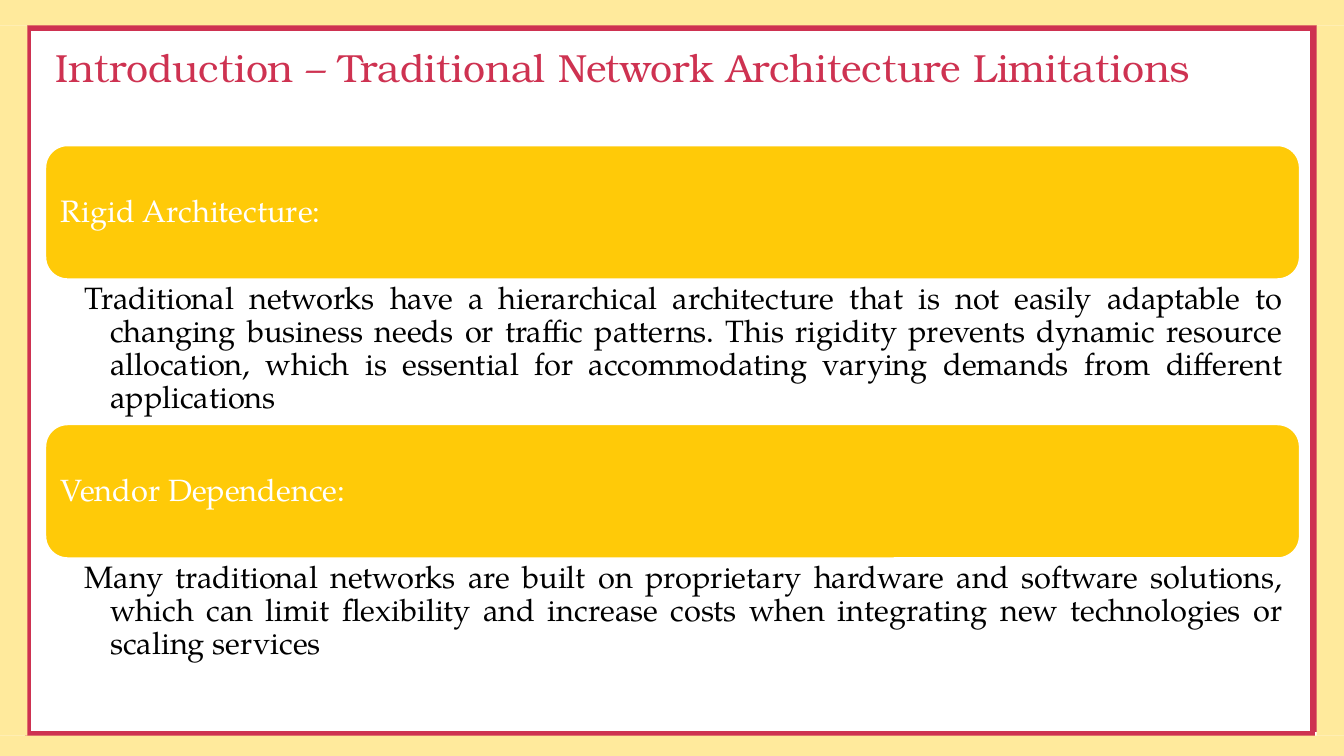
from lxml import etree
from pptx import Presentation
from pptx.dml.color import RGBColor
from pptx.enum.shapes import MSO_CONNECTOR, MSO_SHAPE
from pptx.enum.text import MSO_ANCHOR, MSO_AUTO_SIZE, PP_ALIGN
from pptx.oxml.ns import qn
from pptx.util import Cm, Pt

TITLE = "Introduction – Traditional Network Architecture Limitations"
# heading, heading alignment, explanation, height of the explanation in cm
LIMITATIONS = [
    ("Rigid Architecture:", PP_ALIGN.JUSTIFY,
     "Traditional networks have a hierarchical architecture that is not easily "
     "adaptable to changing business needs or traffic patterns. This rigidity "
     "prevents dynamic resource allocation, which is essential for accommodating "
     "varying demands from different applications", 3.65),
    ("Vendor Dependence:", PP_ALIGN.LEFT,
     "Many traditional networks are built on proprietary hardware and software "
     "solutions, which can limit flexibility and increase costs when integrating "
     "new technologies or scaling services", 3),
]
COLORS = {"red": "CE3251", "cream": "FFEA9C", "yellow": "FFCA08",
          "white": "FFFFFF", "black": "000000"}
TITLE_FONT, BODY_FONT = "TeX Gyre Bonum", "TeX Gyre Pagella"
LINE, RECTANGLE = MSO_CONNECTOR.STRAIGHT, MSO_SHAPE.RECTANGLE
ROUNDED, MIDDLE, TOP = MSO_SHAPE.ROUNDED_RECTANGLE, MSO_ANCHOR.MIDDLE, MSO_ANCHOR.TOP

# Lengths in cm
WIDTH, HEIGHT = 33.87, 19.05
BAND_TOP, BAND_SIDE, BAND_BOTTOM = 0.64, 0.69, 0.51
LEFT, CONTENT_WIDTH = 1.14, 31.62
FIRST_TOP, HEADING_HEIGHT = 3.66, 3.38
HANGING = 0.64
FRAME_LINES = [
    (0.66, 18.49, 33.15, 18.49),
    (0.71, 0.71, 0.71, 18.54),
    (0.69, 0.71, 33.17, 0.71),
    (33.1, 0.61, 33.1, 18.44),
]
SIDE_HEIGHT = HEIGHT - BAND_TOP - BAND_BOTTOM
BANDS = [
    (0, 0, WIDTH, BAND_TOP),
    (0, HEIGHT - BAND_BOTTOM, WIDTH, BAND_BOTTOM),
    (WIDTH - BAND_SIDE, BAND_TOP, BAND_SIDE, SIDE_HEIGHT),
    (0, BAND_TOP, BAND_SIDE, SIDE_HEIGHT),
]


def color(name):
    return RGBColor.from_string(COLORS[name])


def cm(lengths):
    return [Cm(length) for length in lengths]


def write(shape, text, font_name, size, color_name, alignment, anchor, insets):
    """Fill the shape with one paragraph; insets are left, top, right, bottom."""
    frame = shape.text_frame
    frame.word_wrap = True
    frame.auto_size = MSO_AUTO_SIZE.NONE
    frame.vertical_anchor = anchor
    (frame.margin_left, frame.margin_top,
     frame.margin_right, frame.margin_bottom) = cm(insets)
    paragraph = frame.paragraphs[0]
    paragraph.text = text
    paragraph.alignment = alignment
    paragraph.line_spacing = 0.9
    paragraph.font.name = font_name
    paragraph.font.size = Pt(size)
    paragraph.font.color.rgb = color(color_name)
    return paragraph


def add_filled(slide, kind, box, color_name):
    shape = slide.shapes.add_shape(kind, *cm(box))
    shape.shadow.inherit = False
    shape.fill.solid()
    shape.fill.fore_color.rgb = color(color_name)
    shape.line.fill.background()
    return shape


def add_frame(slide):
    for ends in FRAME_LINES:
        line = slide.shapes.add_connector(LINE, *cm(ends))
        line.line.color.rgb = color("red")
        line.line.width = Pt(4.5)
        etree.SubElement(line._element.spPr, qn("a:effectLst"))
    for box in BANDS:
        add_filled(slide, RECTANGLE, box, "cream")


def add_limitations(slide):
    top = FIRST_TOP
    for heading, alignment, explanation, height in LIMITATIONS:
        box = add_filled(slide, ROUNDED, (LEFT, top, CONTENT_WIDTH, HEADING_HEIGHT), "yellow")
        box.line.color.rgb = color("white")
        box.line.width = Pt(1.5)
        write(box, heading, BODY_FONT, 22, "white", alignment, MIDDLE,
              (0.23, 0.23, 0.23, 0.23))
        top += HEADING_HEIGHT
        body = slide.shapes.add_textbox(*cm((LEFT, top, CONTENT_WIDTH, height)))
        paragraph = write(body, explanation, BODY_FONT, 22, "black", PP_ALIGN.JUSTIFY,
                          TOP, (1, 0.08, 0.43, 0.08))
        properties = paragraph._p.get_or_add_pPr()
        properties.set("marL", str(Cm(HANGING)))
        properties.set("indent", str(-Cm(HANGING)))
        top += height


def main():
    presentation = Presentation()
    presentation.slide_width, presentation.slide_height = cm((WIDTH, HEIGHT))
    slide = presentation.slides.add_slide(presentation.slide_layouts[5])
    add_frame(slide)
    title = slide.shapes.title
    title.left, title.top, title.width, title.height = cm((LEFT, 0.89, CONTENT_WIDTH, 1.75))
    write(title, TITLE, TITLE_FONT, 28, "red", PP_ALIGN.LEFT, MIDDLE,
          (0.25, 0.13, 0.25, 0.13))
    add_limitations(slide)
    presentation.save("out.pptx")


if __name__ == "__main__":
    main()
